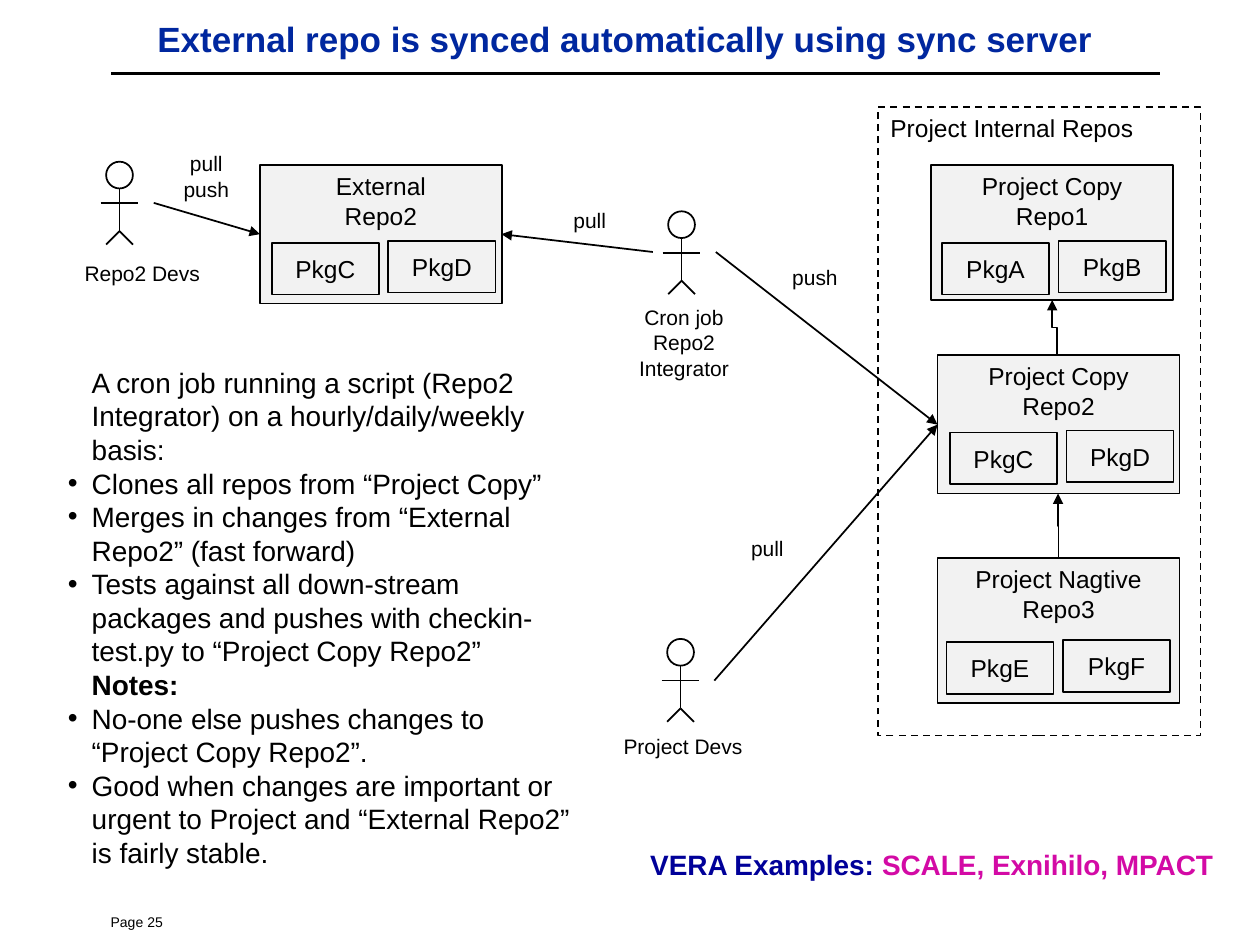
from lxml import etree
from pptx import Presentation
from pptx.dml.color import RGBColor
from pptx.enum import dml, shapes, text
from pptx.oxml.ns import qn
from pptx.util import Cm, Pt

COLORS = {"ink": "000000", "box": "F2F2F2", "title": "00279F",
          "lead": "000099", "examples": "D30AA5"}
LEFT, CENTER, RIGHT = text.PP_ALIGN.LEFT, text.PP_ALIGN.CENTER, text.PP_ALIGN.RIGHT
STRAIGHT, ELBOW = shapes.MSO_CONNECTOR.STRAIGHT, shapes.MSO_CONNECTOR.ELBOW

# Content; all lengths in cm
TITLE = "External repo is synced automatically using sync server "
PAGE = "Page 25"
BOUNDARY = ("Project Internal Repos", (17.7, 2.16, 6.5, 12.67))
# name lines, left, top, height, packages, offset of the first package
REPOS = [
    (["External", "Repo2"], 5.24, 3.33, 2.79, ["PkgC", "PkgD"], (0.24, 1.57)),
    (["Project Copy", "Repo1"], 18.77, 3.33, 2.72, ["PkgA", "PkgB"], (0.22, 1.57)),
    (["Project Copy", "Repo2"], 18.9, 7.16, 2.79, ["PkgC", "PkgD"], (0.25, 1.56)),
    (["Project Nagtive", "Repo3"], 18.9, 11.25, 2.92, ["PkgE", "PkgF"], (0.18, 1.7)),
]
REPO_W = 4.88
PKG_W, PKG_H = 2.16, 1.04
PKG_STEP = (2.35, -0.04)
ACTORS = [(2.41, 3.26), (13.74, 4.26), (13.72, 12.88)]  # centre x, top
LABEL_W = 3.4
LABELS = [  # lines, left, top
    (["Repo2 Devs"], 1.17, 5.13),
    (["Cron job", "Repo2 Integrator"], 12.09, 6.02),
    (["Project Devs"], 12.07, 14.66),
    (["pull", "push"], 2.46, 2.92),
    (["pull"], 10.19, 4.06),
    (["push"], 14.73, 5.21),
    (["pull"], 13.77, 10.67),
]
ARROWS = [  # from, to
    ((3.1, 4.09), (5.24, 4.72)),
    ((13.16, 5.08), (10.11, 4.72)),
    ((14.43, 5.08), (18.9, 8.56)),
    ((14.4, 13.72), (18.9, 8.56)),
]
RISERS = [((21.31, 7.16), (21.21, 6.05)), ((21.34, 11.25), (21.33, 9.95))]
NOTES = [  # text, bulleted, bold
    ("A cron job running a script (Repo2 Integrator) on a hourly/daily/weekly basis:",
     False, False),
    ("Clones all repos from “Project Copy”", True, False),
    ("Merges in changes from “External Repo2” (fast forward)", True, False),
    ("Tests against all down-stream packages and pushes with checkin-test.py to "
     "“Project Copy Repo2”", True, False),
    ("Notes:", False, True),
    ("No-one else pushes changes to “Project Copy Repo2”.", True, False),
    ("Good when changes are important or urgent to Project and “External Repo2” "
     "is fairly stable.", True, False),
]
NOTES_INDENT = 0.48
EXAMPLES = [("VERA Examples: ", "lead"), ("SCALE, Exnihilo, MPACT ", "examples")]

prs = Presentation()
prs.slide_width, prs.slide_height = Cm(25.4), Cm(19.05)
slide = prs.slides.add_slide(prs.slide_layouts[6])


def rgb(name):
    return RGBColor.from_string(COLORS[name])


def add_run(paragraph, words, size, color="ink", bold=False):
    run = paragraph.add_run()
    run.text = words
    run.font.name, run.font.size, run.font.bold = "Arial", Pt(size), bold
    run.font.color.rgb = rgb(color)


def write(shape, lines, size, align=CENTER, anchor=text.MSO_ANCHOR.TOP,
          color="ink", bold=False):
    frame = shape.text_frame
    frame.word_wrap, frame.vertical_anchor = True, anchor
    for i, words in enumerate(lines):
        paragraph = frame.add_paragraph() if i else frame.paragraphs[0]
        paragraph.alignment = align
        add_run(paragraph, words, size, color, bold)


def add_text_box(*place):
    box = slide.shapes.add_textbox(*map(Cm, place))
    box.text_frame.word_wrap = True
    return box


def add_outline(kind, place, fill=None, parent=slide):
    shape = parent.shapes.add_shape(kind, *map(Cm, place))
    shape.shadow.inherit = False
    if fill:
        shape.fill.solid()
        shape.fill.fore_color.rgb = rgb(fill)
    else:
        shape.fill.background()
    shape.line.color.rgb, shape.line.width = rgb("ink"), Pt(1)
    return shape


def add_line(start, end, width=1, arrow=False, kind=STRAIGHT, parent=slide):
    line = parent.shapes.add_connector(kind, *map(Cm, (*start, *end)))
    line.line.color.rgb, line.line.width = rgb("ink"), Pt(width)
    if arrow:
        etree.SubElement(line.line._get_or_add_ln(), qn("a:tailEnd"), type="triangle")
    etree.SubElement(line._element.spPr, qn("a:effectLst"))
    return line


def add_riser(start, end):
    """Elbow arrow that leaves and arrives vertically: drawn flat, turned by 270°."""
    (x1, y1), (x2, y2) = start, end
    cx, cy = (x1 + x2) / 2, (y1 + y2) / 2
    run, rise = (y1 - y2) / 2, (x1 - x2) / 2
    line = add_line((cx - run, cy + rise), (cx + run, cy - rise), arrow=True, kind=ELBOW)
    line._element.spPr.find(qn("a:xfrm")).set("rot", str(270 * 60000))


def add_actor(x, top):
    group = slide.shapes.add_group_shape()
    head, arms, hip, feet = 0.54, 0.84, 1.4, 1.67
    add_outline(shapes.MSO_SHAPE.OVAL, (x - head / 2, top, head, head), parent=group)
    limbs = [((x, top + head), (x, top + hip)),
             ((x - 0.38, top + arms), (x + 0.38, top + arms))]
    limbs += [((x, top + hip), (x + side, top + feet)) for side in (-0.27, 0.27)]
    for start, end in limbs:
        add_line(start, end, parent=group)


def add_bullet(paragraph):
    props = paragraph._p.get_or_add_pPr()
    props.set("indent", str(-Cm(NOTES_INDENT)))
    color = etree.SubElement(props, qn("a:buClr"))
    etree.SubElement(color, qn("a:srgbClr"), val=COLORS["ink"])
    etree.SubElement(props, qn("a:buFont"), typeface="Arial")
    etree.SubElement(props, qn("a:buChar"), char="•")


# Title, rule and page number
add_line((2.24, 1.48), (23.39, 1.48), width=2)
write(add_text_box(1.98, 18.29, 5.28, 0.56), [PAGE], 8, LEFT)
write(add_text_box(1.9, 0.25, 21.6, 1.07), [TITLE], 20,
      anchor=text.MSO_ANCHOR.MIDDLE, color="title", bold=True)

# Repositories with their packages
for name, left, top, height, packages, (dx, dy) in REPOS:
    repo = add_outline(shapes.MSO_SHAPE.RECTANGLE, (left, top, REPO_W, height), "box")
    write(repo, name, 14)
    for i, package in enumerate(packages):
        place = (left + dx + i * PKG_STEP[0], top + dy + i * PKG_STEP[1], PKG_W, PKG_H)
        write(add_outline(shapes.MSO_SHAPE.RECTANGLE, place, "box"), [package], 14,
              anchor=text.MSO_ANCHOR.MIDDLE)

# Boundary of the internal repositories
boundary = add_outline(shapes.MSO_SHAPE.RECTANGLE, BOUNDARY[1])
boundary.line.dash_style = dml.MSO_LINE.DASH
write(boundary, [BOUNDARY[0]], 14, LEFT)

# Arrows, actors and labels
for start, end in RISERS:
    add_riser(start, end)
for start, end in ARROWS:
    add_line(start, end, arrow=True)
for x, top in ACTORS:
    add_actor(x, top)
for lines, left, top in LABELS:
    write(add_text_box(left, top, LABEL_W, 0.25 + 0.51 * len(lines)), lines, 12)

# Explanation and notes
notes = add_text_box(1.12, 7.24, 10.8, 10.41).text_frame
for i, (words, bulleted, bold) in enumerate(NOTES):
    paragraph = notes.add_paragraph() if i else notes.paragraphs[0]
    paragraph._p.get_or_add_pPr().set("marL", str(Cm(NOTES_INDENT)))
    if bulleted:
        add_bullet(paragraph)
    add_run(paragraph, words, 16, bold=bold)

# Examples
examples = add_text_box(12.5, 16.97, 12.37, 0.94).text_frame.paragraphs[0]
examples.alignment = RIGHT
for words, color in EXAMPLES:
    add_run(examples, words, 16, color, bold=True)

prs.save("out.pptx")
